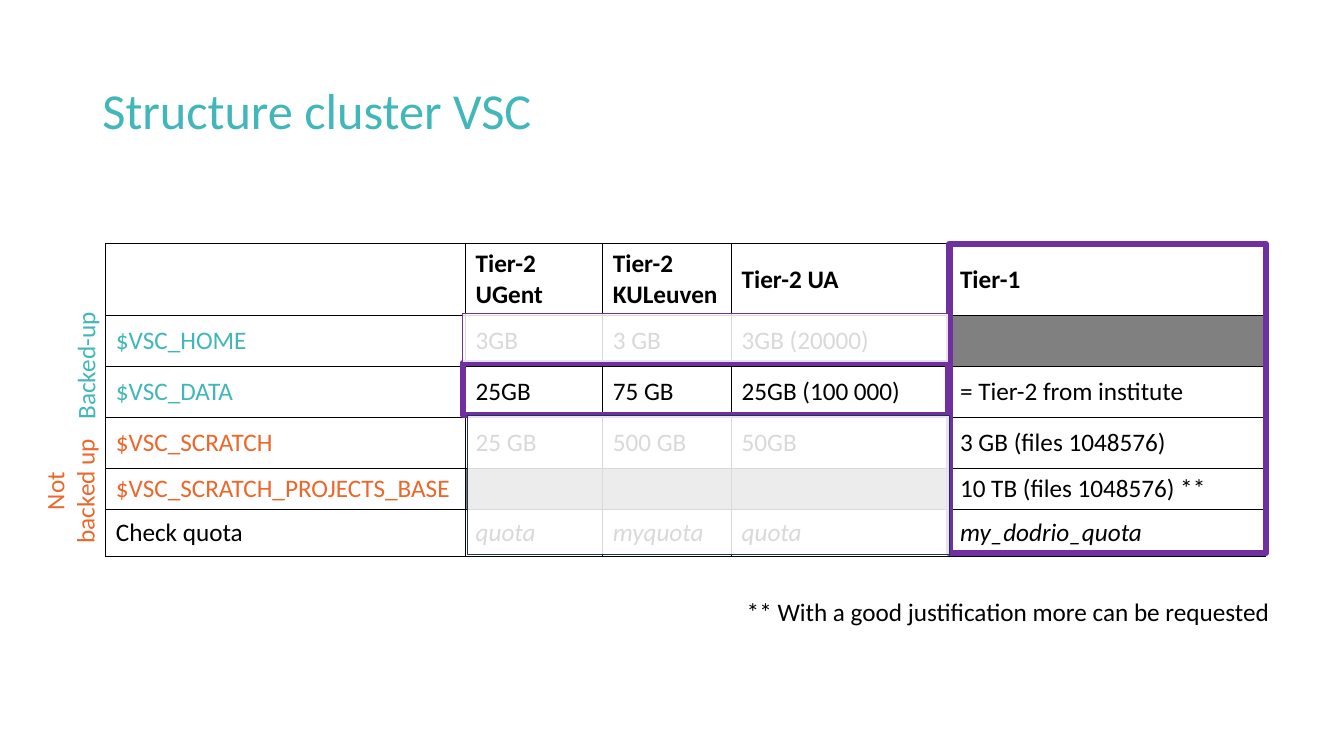
from dataclasses import dataclass

from lxml.etree import SubElement
from pptx import Presentation
from pptx.dml.color import RGBColor
from pptx.enum.shapes import MSO_SHAPE
from pptx.enum.text import MSO_ANCHOR, MSO_AUTO_SIZE, PP_ALIGN
from pptx.oxml import parse_xml
from pptx.oxml.ns import nsdecls, qn
from pptx.slide import Slide
from pptx.table import _Cell
from pptx.text.text import Font
from pptx.util import Pt

TEAL, ORANGE, PURPLE, NAVY = "41B7B9", "ED672A", "7030A0", "1E3256"
BLACK, WHITE, GRAY = "000000", "FFFFFF", "808080"

COLUMN_WIDTHS = [257, 98, 92, 156, 225]
ROW_HEIGHTS = [51, 36.4, 36.4, 36.4, 28.8, 34]
QUOTA_ROWS = [
    ["", "Tier-2 UGent", "Tier-2 KULeuven", "Tier-2 UA", "Tier-1"],
    ["$VSC_HOME", "3GB", "3 GB", "3GB (20000)", ""],
    ["$VSC_DATA", "25GB", "75 GB", "25GB (100 000)", "= Tier-2 from institute"],
    ["$VSC_SCRATCH", "25 GB", "500 GB", "50GB", "3 GB (files 1048576)"],
    ["$VSC_SCRATCH_PROJECTS_BASE", "", "", "", "10 TB (files 1048576) **"],
    ["Check quota", "quota", "myquota", "quota", "my_dodrio_quota"],
]
LABEL_COLORS = [BLACK, TEAL, TEAL, ORANGE, ORANGE, BLACK]
LAST_ROW = len(QUOTA_ROWS) - 1


@dataclass
class Label:
    lines: list[str]
    left: float
    top: float
    width: float
    height: float
    color: str
    rotation: float = 0
    alignment: PP_ALIGN = PP_ALIGN.LEFT


@dataclass
class Frame:
    left: float
    top: float
    width: float
    height: float
    line_color: str
    line_width: float
    veiled: bool = False


FOOTNOTE = Label(["** With a good justification more can be requested"],
                 526.3, 422.6, 393, 29, BLACK)
BACKUP_LABELS = [
    Label(["Backed-up"], 15.1, 246.2, 92, 29, TEAL, 270),
    Label(["Not", "backed up"], 5, 325.4, 90, 51, ORANGE, 270, PP_ALIGN.CENTER),
]
TIER1_FRAME = Frame(678.2, 174.2, 226, 221, PURPLE, 4.5)
TIER2_FRAMES = [
    Frame(330.5, 259.2, 347, 37.4, PURPLE, 4.5),
    Frame(334.1, 296.6, 344, 99.4, NAVY, 1, veiled=True),
    Frame(330.5, 223.9, 347, 35.3, PURPLE, 1, veiled=True),
]


def rgb(color: str) -> RGBColor:
    return RGBColor.from_string(color)


def style_font(font: Font, color: str, size: float = 18) -> None:
    font.name = "Calibri"
    font.size = Pt(size)
    font.color.rgb = rgb(color)


def add_title(slide: Slide, text: str) -> None:
    title = slide.shapes.title
    title.left, title.top, title.width, title.height = Pt(66), Pt(29), Pt(828), Pt(104.4)
    title.text_frame.text = text
    title.text_frame.vertical_anchor = MSO_ANCHOR.MIDDLE
    paragraph = title.text_frame.paragraphs[0]
    paragraph.alignment = PP_ALIGN.LEFT
    paragraph.line_spacing = 0.9
    style_font(paragraph.font, TEAL, 36)


def add_borders(cell: _Cell) -> None:
    properties = cell._tc.get_or_add_tcPr()
    for position, side in enumerate(("lnL", "lnR", "lnT", "lnB")):
        properties.insert(position, parse_xml(
            f'<a:{side} {nsdecls("a")} w="{Pt(1)}"><a:solidFill>'
            f'<a:srgbClr val="{BLACK}"/></a:solidFill></a:{side}>'))


def fill_cell(cell: _Cell, row: int, column: int) -> None:
    text = QUOTA_ROWS[row][column]
    cell.vertical_anchor = MSO_ANCHOR.MIDDLE
    cell.text = text
    font = cell.text_frame.paragraphs[0].font
    style_font(font, BLACK if column else LABEL_COLORS[row])
    font.bold = row == 0
    font.italic = row == LAST_ROW and column > 0
    if not text and row > 0:
        cell.fill.solid()
        cell.fill.fore_color.rgb = rgb(GRAY)
    elif row == LAST_ROW:
        cell.fill.solid()
        cell.fill.fore_color.rgb = rgb(WHITE)
    else:
        cell.fill.background()
    add_borders(cell)


def add_quota_table(slide: Slide) -> None:
    table = slide.shapes.add_table(
        len(ROW_HEIGHTS), len(COLUMN_WIDTHS), Pt(75.6), Pt(174.2),
        Pt(sum(COLUMN_WIDTHS)), Pt(sum(ROW_HEIGHTS))).table
    table.first_row = table.horz_banding = False
    for column, width in zip(table.columns, COLUMN_WIDTHS):
        column.width = Pt(width)
    for row, height in zip(table.rows, ROW_HEIGHTS):
        row.height = Pt(height)
    for row in range(len(ROW_HEIGHTS)):
        for column in range(len(COLUMN_WIDTHS)):
            fill_cell(table.cell(row, column), row, column)


def add_label(slide: Slide, label: Label) -> None:
    box = slide.shapes.add_textbox(
        Pt(label.left), Pt(label.top), Pt(label.width), Pt(label.height))
    box.rotation = label.rotation
    text_frame = box.text_frame
    text_frame.word_wrap = False
    text_frame.auto_size = MSO_AUTO_SIZE.SHAPE_TO_FIT_TEXT
    text_frame.text = "\n".join(label.lines)
    for paragraph in text_frame.paragraphs:
        paragraph.alignment = label.alignment
        style_font(paragraph.font, label.color)


def add_frame(slide: Slide, frame: Frame) -> None:
    """Outline a table area; a veiled frame also fades what lies beneath."""
    shape = slide.shapes.add_shape(
        MSO_SHAPE.RECTANGLE, Pt(frame.left), Pt(frame.top),
        Pt(frame.width), Pt(frame.height))
    shape.shadow.inherit = False
    shape.line.color.rgb = rgb(frame.line_color)
    shape.line.width = Pt(frame.line_width)
    if frame.veiled:
        shape.fill.solid()
        shape.fill.fore_color.rgb = rgb(WHITE)
        fill_color = shape._element.spPr.find(qn("a:solidFill")).find(qn("a:srgbClr"))
        SubElement(fill_color, qn("a:alpha"), val="85000")
    else:
        shape.fill.background()


def main() -> None:
    presentation = Presentation()
    presentation.slide_width, presentation.slide_height = Pt(960), Pt(540)
    slide = presentation.slides.add_slide(presentation.slide_layouts[5])
    add_title(slide, "Structure cluster VSC")
    add_quota_table(slide)
    add_label(slide, FOOTNOTE)
    add_frame(slide, TIER1_FRAME)
    for label in BACKUP_LABELS:
        add_label(slide, label)
    for frame in TIER2_FRAMES:
        add_frame(slide, frame)
    presentation.save("out.pptx")


if __name__ == "__main__":
    main()
